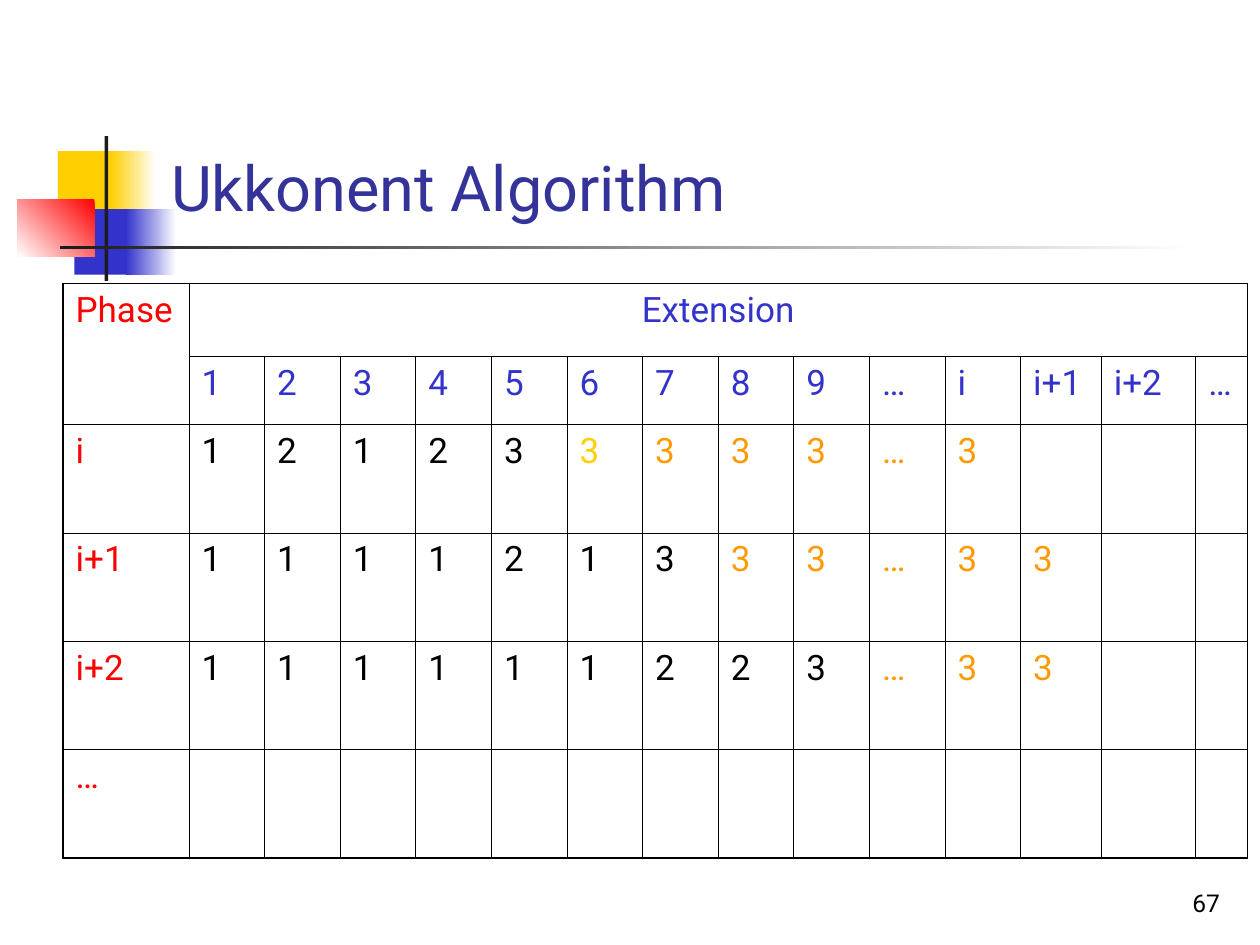
from lxml.etree import SubElement
from pptx import Presentation
from pptx.dml.color import RGBColor
from pptx.enum.shapes import MSO_SHAPE as Preset
from pptx.enum.text import MSO_ANCHOR as Anchor, PP_ALIGN as Align
from pptx.oxml.ns import qn
from pptx.util import Inches, Pt

BLACK, WHITE, DARK = "000000", "FFFFFF", "1C1C1C"
RED, BLUE, YELLOW, ORANGE = "FF0000", "3333CC", "FFCF01", "FF9900"
TITLE_BLUE = "333399"
THIN, THICK = 0.45, 1.08


def color(value):
    return RGBColor.from_string(value)


class SlideBuilder:
    font_name = "Roboto"

    def __init__(self, slide):
        self.slide = slide

    def set_text(self, frame, text, size, fill, align=Align.LEFT):
        paragraph = frame.paragraphs[0]
        paragraph.text = text
        paragraph.alignment = align
        paragraph.font.name = self.font_name
        paragraph.font.size = Pt(size)
        paragraph.font.color.rgb = color(fill)

    def rectangle(self, bounds):
        shape = self.slide.shapes.add_shape(Preset.RECTANGLE, *map(Inches, bounds))
        shape.shadow.inherit = False
        shape.line.fill.background()
        return shape

    def solid(self, bounds, fill):
        shape = self.rectangle(bounds)
        shape.fill.solid()
        shape.fill.fore_color.rgb = color(fill)

    def gradient(self, bounds, start, end, angle=180):
        shape = self.rectangle(bounds)
        shape.fill.gradient()
        shape.fill.gradient_angle = angle
        for stop, position, value in zip(shape.fill.gradient_stops, (0, 1), (start, end)):
            stop.position = position
            stop.color.rgb = color(value)

    def text(self, bounds, text, size, fill, align=Align.LEFT):
        box = self.slide.shapes.add_textbox(*map(Inches, bounds))
        box.text_frame.word_wrap = True
        box.text_frame.vertical_anchor = Anchor.BOTTOM
        self.set_text(box.text_frame, text, size, fill, align)

    def table(self, left, top, widths, heights):
        frame = self.slide.shapes.add_table(
            len(heights), len(widths), Inches(left), Inches(top),
            Inches(sum(widths)), Inches(sum(heights)))
        table = frame.table
        table.first_row = table.horz_banding = False
        for column, width in zip(table.columns, widths):
            column.width = Inches(width)
        for row, height in zip(table.rows, heights):
            row.height = Inches(height)
        last_row, last_column = len(heights) - 1, len(widths) - 1
        for r in range(len(heights)):
            for c in range(len(widths)):
                outer = {"L": c == 0, "R": c == last_column,
                         "T": r == 0, "B": r == last_row}
                self.borders(table.cell(r, c), outer)
        return table

    def borders(self, cell, outer):
        properties = cell._tc.get_or_add_tcPr()
        for side, is_outer in outer.items():
            line = SubElement(properties, qn(f"a:ln{side}"),
                              w=str(Pt(THICK if is_outer else THIN)))
            fill = SubElement(line, qn("a:solidFill"))
            SubElement(fill, qn("a:srgbClr"), val=BLACK)
        cell.fill.background()

    def cell(self, table, row, column, text, fill, align=Align.LEFT):
        self.set_text(table.cell(row, column).text_frame, text, 20, fill, align)


def add_decoration(builder):
    builder.solid((0.46, 1.2, 0.48, 0.52), YELLOW)
    builder.gradient((0.88, 1.2, 0.36, 0.52), WHITE, YELLOW)
    builder.solid((0.59, 1.66, 0.46, 0.52), BLUE)
    builder.gradient((1, 1.66, 0.4, 0.52), WHITE, BLUE)
    builder.gradient((0.14, 1.58, 0.61, 0.46), RED, WHITE, 225)
    builder.solid((0.83, 1.08, 0.03, 1.15), DARK)
    builder.gradient((0.48, 1.95, 9, 0.03), WHITE, DARK)


def add_phase_table(builder):
    extensions = "1 2 3 4 5 6 7 8 9 … i i+1 i+2 …".split()
    phases = [
        ("i", "1 2 1 2 3", "3", "3 3 3 … 3"),
        ("i+1", "1 1 1 1 2 1 3", "", "3 3 … 3 3"),
        ("i+2", "1 1 1 1 1 1 2 2 3", "", "… 3 3"),
        ("…", "", "", ""),
    ]
    widths = [1] + [0.6] * 11 + [0.64, 0.75, 0.41]
    table = builder.table(0.5, 2.25, widths, [0.58, 0.54] + [0.86] * len(phases))
    table.cell(0, 0).merge(table.cell(1, 0))
    table.cell(0, 1).merge(table.cell(0, len(extensions)))
    builder.cell(table, 0, 0, "Phase", RED)
    builder.cell(table, 0, 1, "Extension", BLUE, Align.CENTER)
    for column, extension in enumerate(extensions, 1):
        builder.cell(table, 1, column, extension, BLUE)
    for row, (phase, *groups) in enumerate(phases, 2):
        entries = [(phase, RED)]
        for group, fill in zip(groups, (BLACK, YELLOW, ORANGE)):
            entries += [(rule, fill) for rule in group.split()]
        for column, (text, fill) in enumerate(entries):
            builder.cell(table, row, column, text, fill)


def main():
    presentation = Presentation()
    presentation.slide_width = Inches(10)
    presentation.slide_height = Inches(7.5)
    slide = presentation.slides.add_slide(presentation.slide_layouts[6])
    builder = SlideBuilder(slide)
    add_decoration(builder)
    builder.text((1.26, 0.23, 8.52, 1.6), "Ukkonent Algorithm", 36, TITLE_BLUE)
    add_phase_table(builder)
    builder.text((7.7, 6.83, 2.08, 0.5), "67", 14, BLACK, Align.RIGHT)
    presentation.save("out.pptx")


if __name__ == "__main__":
    main()
